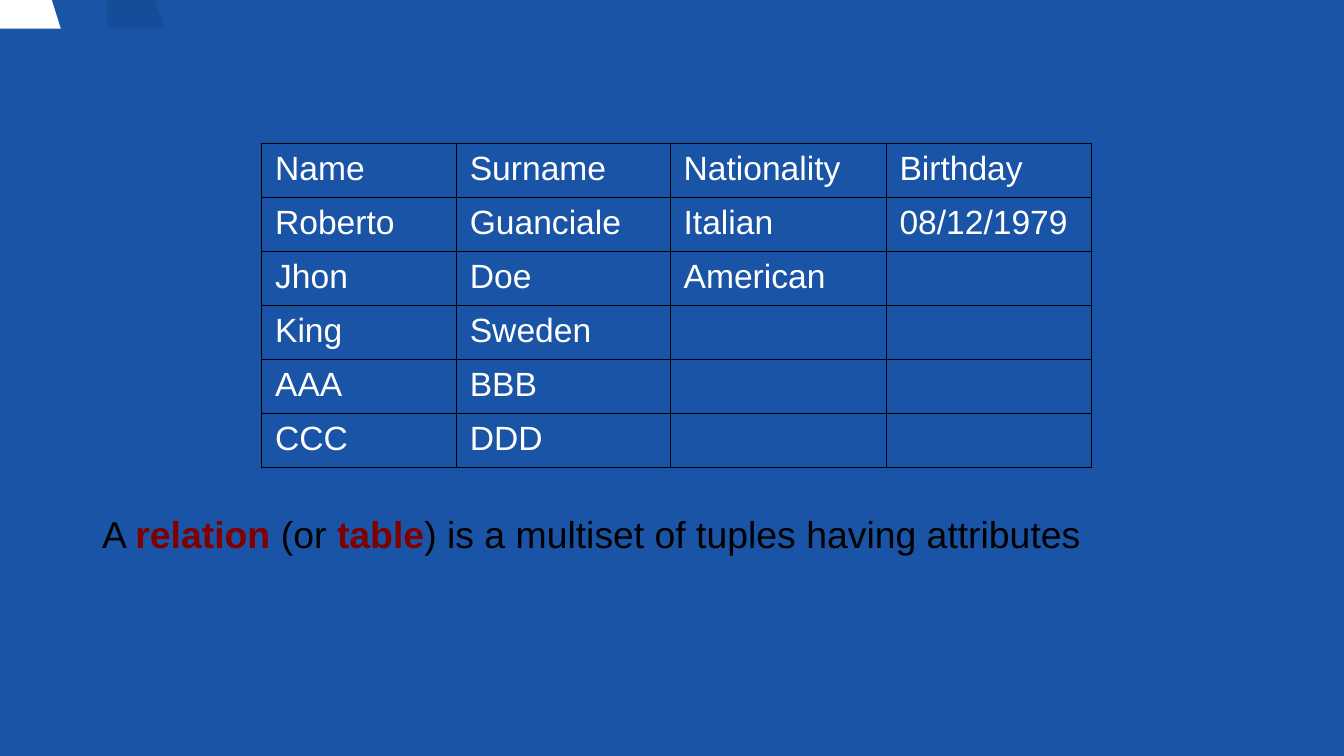
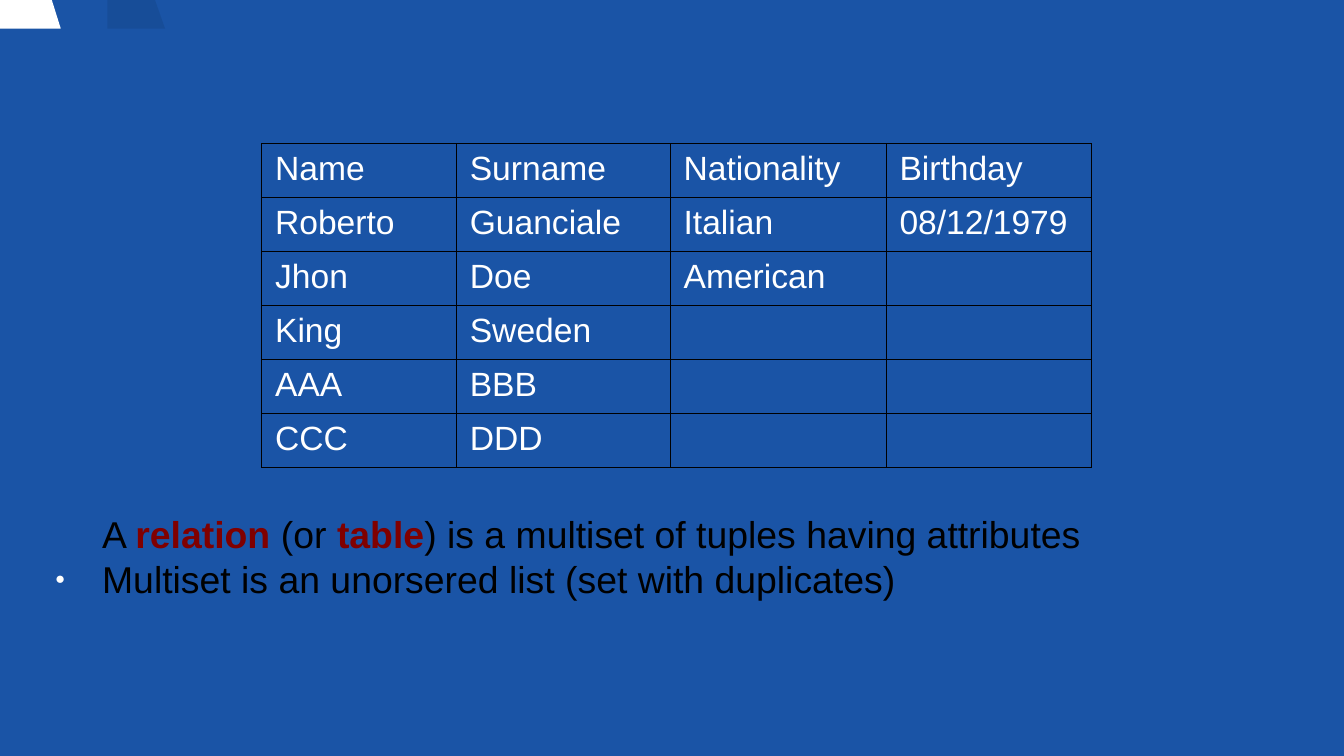
from lxml import etree
from pptx import Presentation
from pptx.dml.color import RGBColor
from pptx.enum.text import MSO_ANCHOR, MSO_AUTO_SIZE
from pptx.oxml.ns import qn
from pptx.util import Cm, Pt

BLUE = RGBColor(0x1A, 0x54, 0xA6)
WHITE = RGBColor(0xFF, 0xFF, 0xFF)
BLACK = RGBColor(0x00, 0x00, 0x00)
MAROON = RGBColor(0x80, 0x00, 0x00)
FONT = "Arial"
TOP, NO_FIT = MSO_ANCHOR.TOP, MSO_AUTO_SIZE.NONE

# Corner bands: outline in cm, frame width in cm, colour, opacity in percent
BANDS = [
    ([(2.03, -0.03), (2.03, 0.54), (3.12, 0.54), (2.92, -0.03)], 27.05, BLACK, 8),
    ([(0, -0.03), (0, 0.54), (1.15, 0.54), (0.97, -0.03)], 28.8, WHITE, 100),
]
BAND_HEIGHT = 14.35
COLUMN_WIDTHS = [3.68, 4.04, 4.08, 3.87]
ROW_HEIGHT = 1.02
PEOPLE = [
    ["Name", "Surname", "Nationality", "Birthday"],
    ["Roberto", "Guanciale", "Italian", "08/12/1979"],
    ["Jhon", "Doe", "American", ""],
    ["King", "Sweden", "", ""],
    ["AAA", "BBB", "", ""],
    ["CCC", "DDD", "", ""],
]
# Each paragraph: bulleted or not, then runs of (text, is a key term)
RELATION = (False, [("A ", False), ("relation", True), (" (or ", False), ("table", True),
                    (") is a multiset of tuples having attributes", False)])
MULTISET = (True, [("Multiset is an unorsered list (set with duplicates)", False)])
# Paragraphs below the table, slide by slide
PAGES = [[RELATION], [RELATION, MULTISET]]


def add_run(para, text, size, color, bold=False):
    span = para.add_run()
    span.text = text
    span.font.name = FONT
    span.font.size = Pt(size)
    span.font.bold = bold
    span.font.color.rgb = color


def add_xml(parent, tag, **attributes):
    return etree.SubElement(parent, qn(tag), attributes)


deck = Presentation()
deck.slide_width, deck.slide_height = Cm(25.4), Cm(14.29)
background = deck.slide_master.background.fill
background.solid()
background.fore_color.rgb = BLUE

for paragraphs in PAGES:
    page = deck.slides.add_slide(deck.slide_layouts[1])
    title = page.shapes.title.element
    title.getparent().remove(title)

    # Corner bands, each drawn in the corner of a frame as tall as the slide
    for outline, frame_width, color, opacity in BANDS:
        points = [(Cm(x), Cm(y)) for x, y in outline]
        builder = page.shapes.build_freeform(*points[0])
        builder.add_line_segments(points[1:], close=True)
        band = builder.convert_to_shape()
        band.width, band.height = Cm(frame_width), Cm(BAND_HEIGHT)
        route = band.element.spPr.find(".//" + qn("a:path"))
        route.set("w", str(band.width))
        route.set("h", str(band.height))
        band.shadow.inherit = False
        band.line.fill.background()
        band.fill.solid()
        band.fill.fore_color.rgb = color
        if opacity < 100:
            tint = band.element.spPr.find(qn("a:solidFill"))[0]
            add_xml(tint, "a:alpha", val=str(opacity * 1000))

    # Table of people
    frame = page.shapes.add_table(len(PEOPLE), len(COLUMN_WIDTHS), Cm(4.95), Cm(2.72),
                                  Cm(sum(COLUMN_WIDTHS)), Cm(ROW_HEIGHT * len(PEOPLE)))
    table = frame.table
    table.first_row = table.horz_banding = False
    for column, width in zip(table.columns, COLUMN_WIDTHS):
        column.width = Cm(width)
    for row, person in zip(table.rows, PEOPLE):
        row.height = Cm(ROW_HEIGHT)
        for cell, text in zip(row.cells, person):
            if text:
                add_run(cell.text_frame.paragraphs[0], text, 18, WHITE)
            cell.margin_left = cell.margin_right = Cm(0.25)
            cell.margin_top = cell.margin_bottom = Cm(0.12)
            borders = cell._tc.get_or_add_tcPr()
            for side in ("a:lnL", "a:lnR", "a:lnT", "a:lnB"):
                line = add_xml(borders, side, w=str(Pt(0.57)))
                add_xml(add_xml(line, "a:solidFill"), "a:srgbClr", val=str(BLACK))
            cell.fill.background()

    # Definitions below the table
    box = page.placeholders[1]
    box.left, box.top, box.width, box.height = Cm(0.49), Cm(9.41), Cm(23.9), Cm(4.65)
    page.shapes._spTree.append(box.element)
    body = box.text_frame
    body.word_wrap = True
    body.auto_size = NO_FIT
    body.vertical_anchor = TOP
    body.margin_left = body.margin_right = Cm(0.25)
    body.margin_top = body.margin_bottom = Cm(0.25)
    for number, (bulleted, runs) in enumerate(paragraphs):
        para = body.add_paragraph() if number else body.paragraphs[0]
        para.space_before = Pt(0)
        layout = para._p.get_or_add_pPr()
        layout.set("marL", str(Cm(1.19)))
        layout.set("indent", str(Cm(-0.89) if bulleted else 0))
        if bulleted:
            add_xml(add_xml(layout, "a:buClr"), "a:srgbClr", val=str(WHITE))
            add_xml(layout, "a:buSzPct", val="45000")
            add_xml(layout, "a:buFont", typeface=FONT)
            add_xml(layout, "a:buChar", char="●")
        else:
            add_xml(layout, "a:buNone")
        for text, is_term in runs:
            add_run(para, text, 20, MAROON if is_term else BLACK, is_term)

deck.save("out.pptx")
